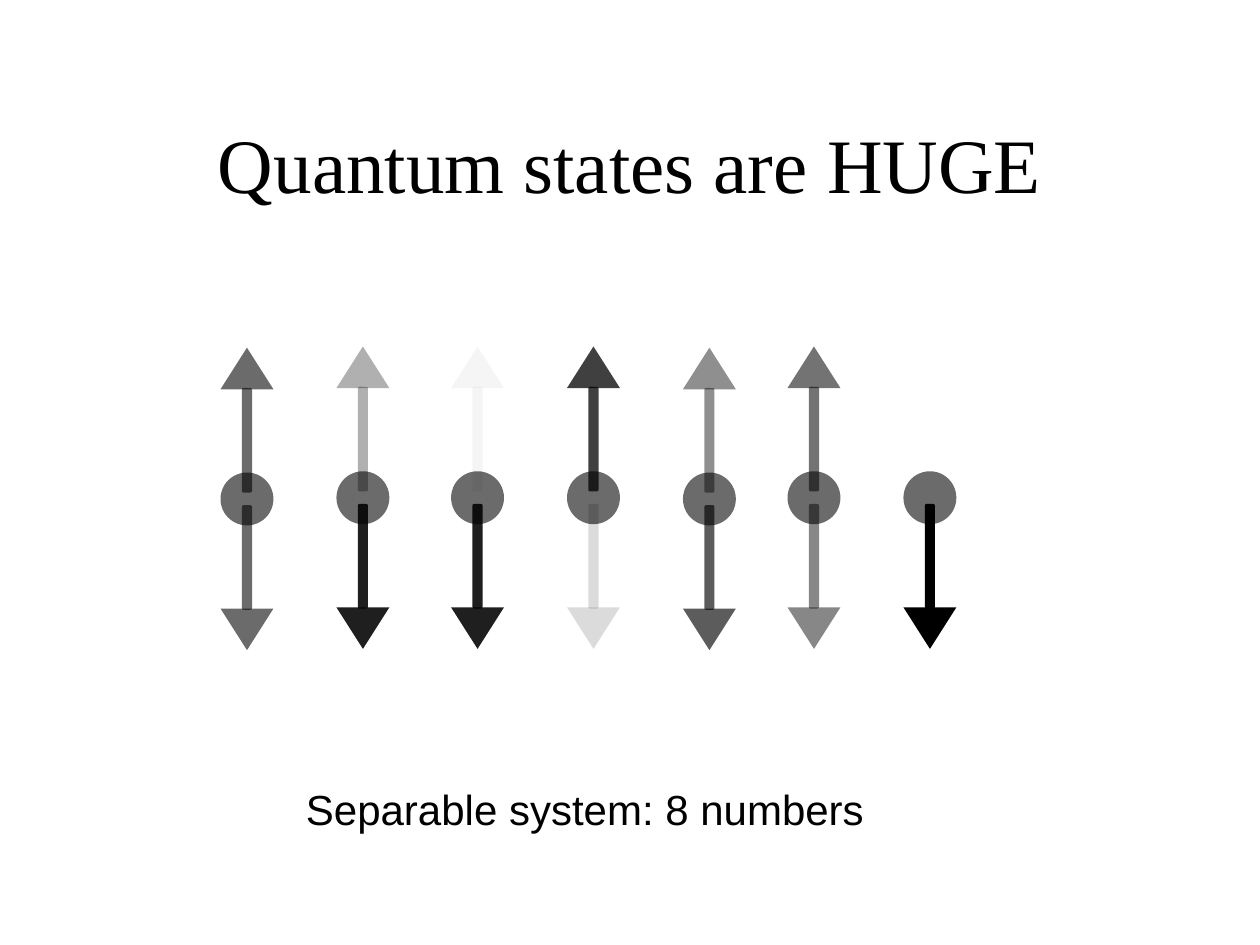
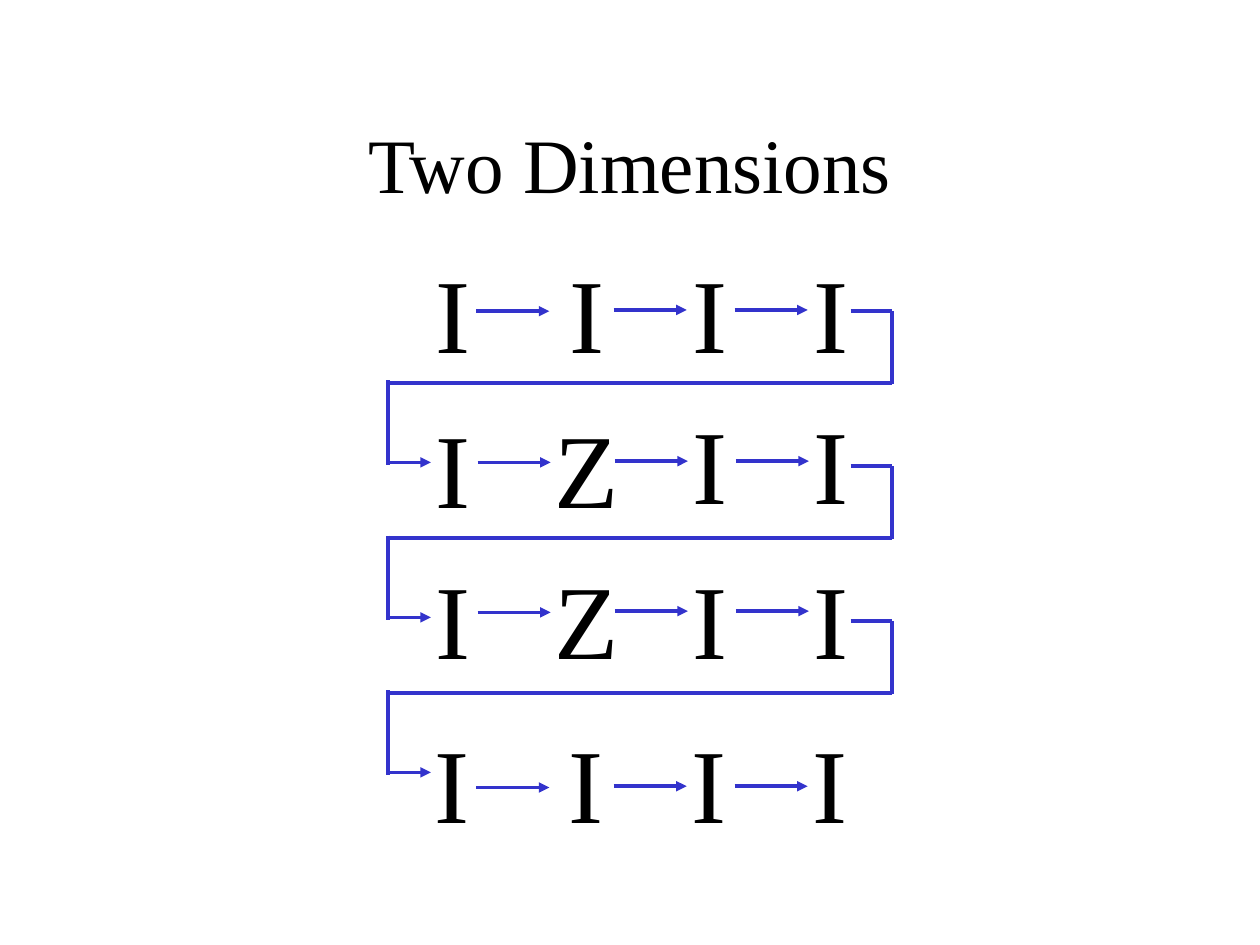
"""Builds two slides on quantum states: a row of spins and a snake path through a grid."""
from lxml import etree
from pptx import Presentation
from pptx import util as u
from pptx.dml.color import RGBColor
from pptx.enum import shapes, text
from pptx.oxml import ns

BLACK = RGBColor(0, 0, 0)
BLUE = RGBColor(0x33, 0x33, 0xCC)
SERIF = "Times New Roman"
SANS = "Arial"
PRESET = shapes.MSO_SHAPE


class Painter:
    def __init__(self, deck):
        self.deck = deck
        self.page = None

    def start_page(self, title):
        self.page = self.deck.slides.add_slide(self.deck.slide_layouts[5])
        box = self.page.shapes.title
        place = {"left": 0.75, "top": 0.67, "width": 8.5, "height": 1.25}
        for name, value in place.items():
            setattr(box, name, u.Inches(value))
        box.text_frame.vertical_anchor = text.MSO_ANCHOR.MIDDLE
        self.add_words(box, title, SERIF, 44, text.PP_ALIGN.CENTER)

    def add_words(self, box, words, font, size, align=text.PP_ALIGN.LEFT):
        para = box.text_frame.paragraphs[0]
        para.alignment = align
        span = para.add_run()
        span.text = words
        for name, value in {"name": font, "size": u.Pt(size)}.items():
            setattr(span.font, name, value)
        span.font.color.rgb = BLACK

    def label(self, words, left, top, width, height, font, size):
        box = self.page.shapes.add_textbox(*map(u.Inches, (left, top, width, height)))
        frame = box.text_frame
        style = {"word_wrap": False, "auto_size": text.MSO_AUTO_SIZE.SHAPE_TO_FIT_TEXT}
        for name, value in style.items():
            setattr(frame, name, value)
        self.add_words(box, words, font, size)

    def solid(self, preset, left, top, width, height, opacity):
        shape = self.page.shapes.add_shape(
            preset, *map(u.Inches, (left, top, width, height)))
        shape.shadow.inherit = False
        shape.line.fill.background()
        shape.fill.solid()
        shape.fill.fore_color.rgb = BLACK
        if opacity < 100:
            color = shape._element.spPr.find(".//" + ns.qn("a:srgbClr"))
            etree.SubElement(color, ns.qn("a:alpha"), val=str(opacity * 1000))
        return shape

    def line(self, start, end, arrow=False):
        link = self.page.shapes.add_connector(
            shapes.MSO_CONNECTOR.STRAIGHT, *map(u.Inches, (*start, *end)))
        link.line.color.rgb = BLUE
        link.line.width = u.Pt(2)
        if arrow:
            outline = link._element.spPr.find(ns.qn("a:ln"))
            etree.SubElement(outline, ns.qn("a:tailEnd"), type="triangle")
        etree.SubElement(link._element.spPr, ns.qn("a:effectLst"))

    def spin(self, left, top, up, down):
        self.solid(PRESET.OVAL, left, top, 0.42, 0.42, 58)
        for opacity, head_shift, shaft_shift, turn in (
                (up, -0.99, -0.67, 0), (down, 1.08, 0.26, 180)):
            if opacity:
                head = self.solid(PRESET.ISOSCELES_TRIANGLE, left, top + head_shift,
                                  0.42, 0.33, opacity)
                head.rotation = turn
                self.solid(PRESET.ROUNDED_RECTANGLE, left + 0.17, top + shaft_shift,
                           0.08, 0.83, opacity)

    def snake_turn(self, top):
        right, left = 7.08, 3.08
        self.line((6.75, top), (right, top))
        self.line((right, top), (right, top + 0.58))
        self.line((right, top + 0.57), (left, top + 0.57))
        self.line((left, top + 0.55), (left, top + 1.22))
        self.line((left, top + 1.2), (3.42, top + 1.2), arrow=True)


def draw_spins(painter):
    painter.start_page("Quantum states are HUGE")
    spins = (
        (1.75, 3.75, 58, 58), (2.67, 3.74, 31, 88), (3.58, 3.74, 4, 88),
        (4.5, 3.74, 75, 14), (5.42, 3.75, 44, 64), (6.25, 3.74, 55, 47),
        (7.17, 3.74, 0, 100),
    )
    for spin in spins:
        painter.spin(*spin)
    painter.label("Separable system: 8 numbers", 2.33, 6.17, 4.63, 0.5, SANS, 24)


def draw_grid(painter):
    painter.start_page("Two Dimensions")
    centers = (3.6, 4.66, 5.64, 6.6)
    arrow_starts = (3.78, 4.87, 5.83)
    letter_widths = {"I": 0.48, "Z": 0.71}
    rows = (
        ("IIII", (1.92, 1.92), 0, 2.47, 0),
        ("IZII", (3.15, 3.12), 0, 3.67, 0.01),
        ("IZII", (4.35, 4.35), 0, 4.86, 0.01),
        ("IIII", (5.65, 5.65), -0.01, 6.25, 0),
    )
    for letters, tops, letter_shift, arrow_top, arrow_shift in rows:
        for column, letter in enumerate(letters):
            width = letter_widths[letter]
            left = centers[column] - width / 2 + letter_shift
            painter.label(letter, left, tops[column // 2], width, 1.1, SERIF, 60)
        for column, start in enumerate(arrow_starts):
            left = start + arrow_shift
            top = arrow_top - 0.01 * min(column, 1)
            painter.line((left, top), (left + 0.58, top), arrow=True)
    for turn in range(3):
        painter.snake_turn(2.47 + 1.23 * turn)


def main():
    deck = Presentation()
    deck.slide_width, deck.slide_height = u.Inches(10), u.Inches(7.5)
    painter = Painter(deck)
    draw_spins(painter)
    draw_grid(painter)
    deck.save("out.pptx")


if __name__ == "__main__":
    main()
